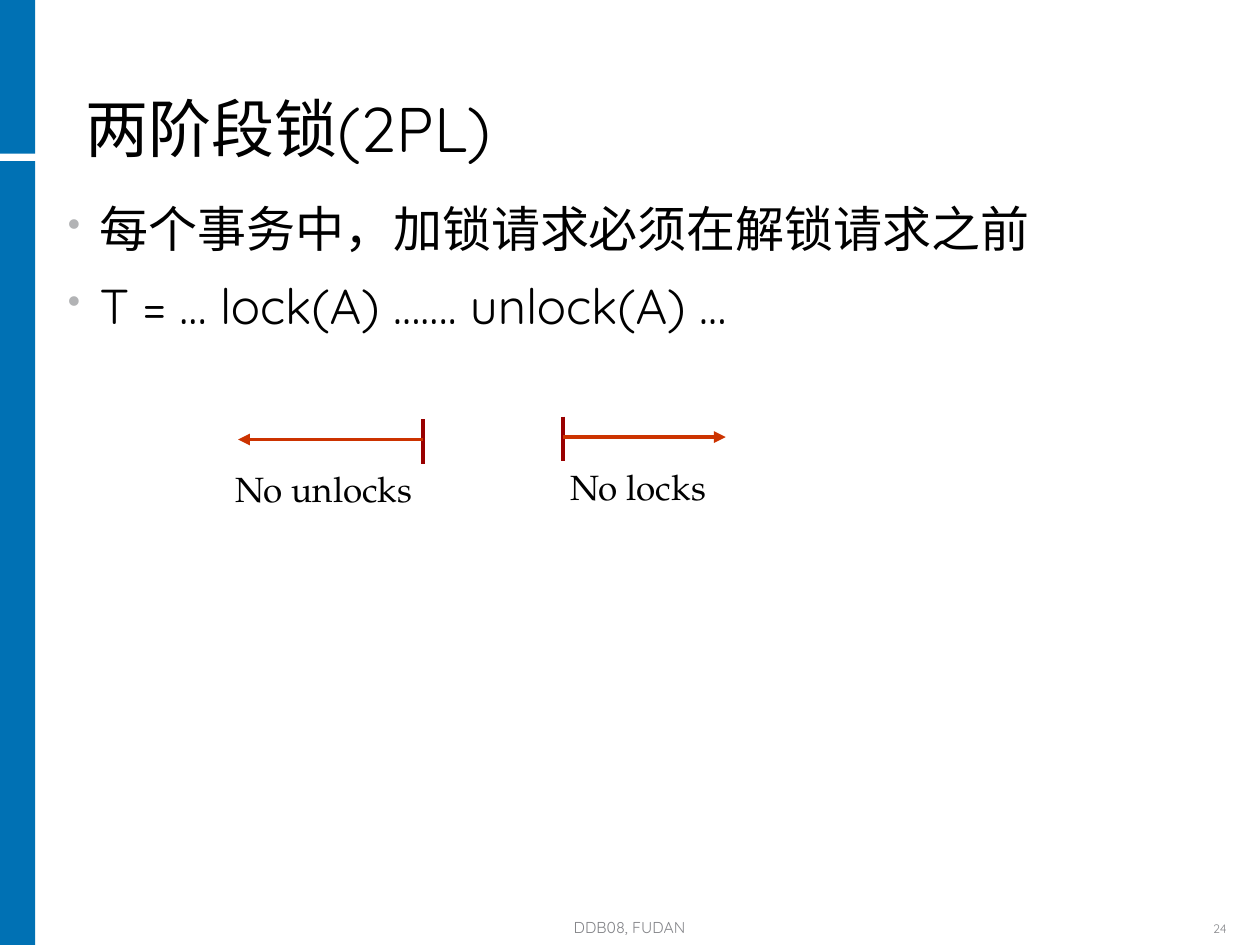
from dataclasses import dataclass

from lxml.etree import SubElement
from pptx import Presentation
from pptx.dml.color import RGBColor
from pptx.enum.shapes import MSO_CONNECTOR as Connector, MSO_SHAPE as Shape
from pptx.enum.text import MSO_ANCHOR as Anchor, PP_ALIGN as Align
from pptx.oxml.ns import qn
from pptx.util import Cm, Pt


@dataclass(frozen=True)
class Theme:
    """Colours, fonts and type sizes of the slide."""
    band: str = "0071B4"
    ink: str = "000000"
    muted: str = "848589"
    bullet: str = "B2B3B5"
    arrow: str = "CC3300"
    stop: str = "990000"
    sans: str = "Quicksand"
    serif: str = "TeX Gyre Pagella"
    title: int = 36
    body: int = 28
    label: int = 20
    footer: int = 9
    number: int = 7
    line: float = 2.25


theme = Theme()
deck = Presentation()
deck.slide_width, deck.slide_height = Cm(25.4), Cm(19.05)
page = deck.slides.add_slide(deck.slide_layouts[6])


def add_text(text, place, size, font=theme.sans, color=theme.ink, align=Align.LEFT,
             anchor=Anchor.TOP, wrap=True, spacing=None, before=0, after=0,
             hanging=0, bullet=None):
    """Add a text box with one paragraph for each line of text."""
    box = page.shapes.add_textbox(*map(Cm, place))
    frame = box.text_frame
    frame.word_wrap, frame.vertical_anchor = wrap, anchor
    for index, line in enumerate(text.split("\n")):
        para = frame.paragraphs[0] if index == 0 else frame.add_paragraph()
        para.alignment, para.line_spacing = align, spacing
        para.space_before, para.space_after = Pt(before), Pt(after)
        span = para.add_run()
        span.text = line
        span.font.size, span.font.name = Pt(size), font
        span.font.color.rgb = RGBColor.from_string(color)
        props = para._p.get_or_add_pPr()
        if hanging:
            props.set("marL", str(Cm(hanging)))
            props.set("indent", str(-Cm(hanging)))
        if bullet:
            tint = SubElement(props, qn("a:buClr"))
            SubElement(tint, qn("a:srgbClr"), val=theme.bullet)
            SubElement(props, qn("a:buSzPct"), val="75000")
            SubElement(props, qn("a:buChar"), char=bullet)


def add_line(start, end, color, arrow=False):
    """Add a straight line, with an arrowhead at its end if asked."""
    line = page.shapes.add_connector(Connector.STRAIGHT, *map(Cm, start + end))
    line.line.width = Pt(theme.line)
    line.line.color.rgb = RGBColor.from_string(color)
    if arrow:
        SubElement(line.line._get_or_add_ln(), qn("a:tailEnd"), type="triangle")
    SubElement(line._element.spPr, qn("a:effectLst"))


# Side band
for top, height in ((3.25, 15.8), (0, 3.1)):
    band = page.shapes.add_shape(Shape.RECTANGLE, 0, Cm(top), Cm(0.71), Cm(height))
    band.shadow.inherit = False
    band.fill.solid()
    band.fill.fore_color.rgb = RGBColor.from_string(theme.band)
    band.line.fill.background()

# Title, body and footer
add_text(" 两阶段锁(2PL)", (1.19, 0.3, 21.18, 3.18), theme.title,
         anchor=Anchor.BOTTOM, spacing=0.9, hanging=0.95)
add_text("每个事务中，加锁请求必须在解锁请求之前\nT = … lock(A) ……. unlock(A) …",
         (1.12, 4.01, 22.99, 13.97), theme.body, spacing=0.9, before=10.5, after=3.5,
         hanging=0.64, bullet="•")
add_text("DDB08, FUDAN", (5.92, 18.36, 13.54, 0.64), theme.footer, color=theme.muted,
         align=Align.CENTER, anchor=Anchor.BOTTOM)
add_text("24", (22.86, 18.36, 2.12, 0.64), theme.number, color=theme.muted,
         align=Align.RIGHT, anchor=Anchor.BOTTOM, spacing=0.8)

# Lock phases: a stop bar, an arrow leading away from it and a label below
phases = (
    ("No unlocks", 8.53, 8.45, 4.8, (4.5, 9.3, 4.24, 1.12)),
    ("No locks", 11.35, 8.4, 14.63, (11.25, 9.26, 3.33, 1.12)),
)
for label, stop, top, tip, place in phases:
    add_line((stop, top), (stop, top + 0.9), theme.stop)
    add_line((stop, top + 0.41), (tip, top + 0.41), theme.arrow, arrow=True)
    add_text(label, place, theme.label, font=theme.serif, wrap=False, before=5, after=5)

deck.save("out.pptx")
